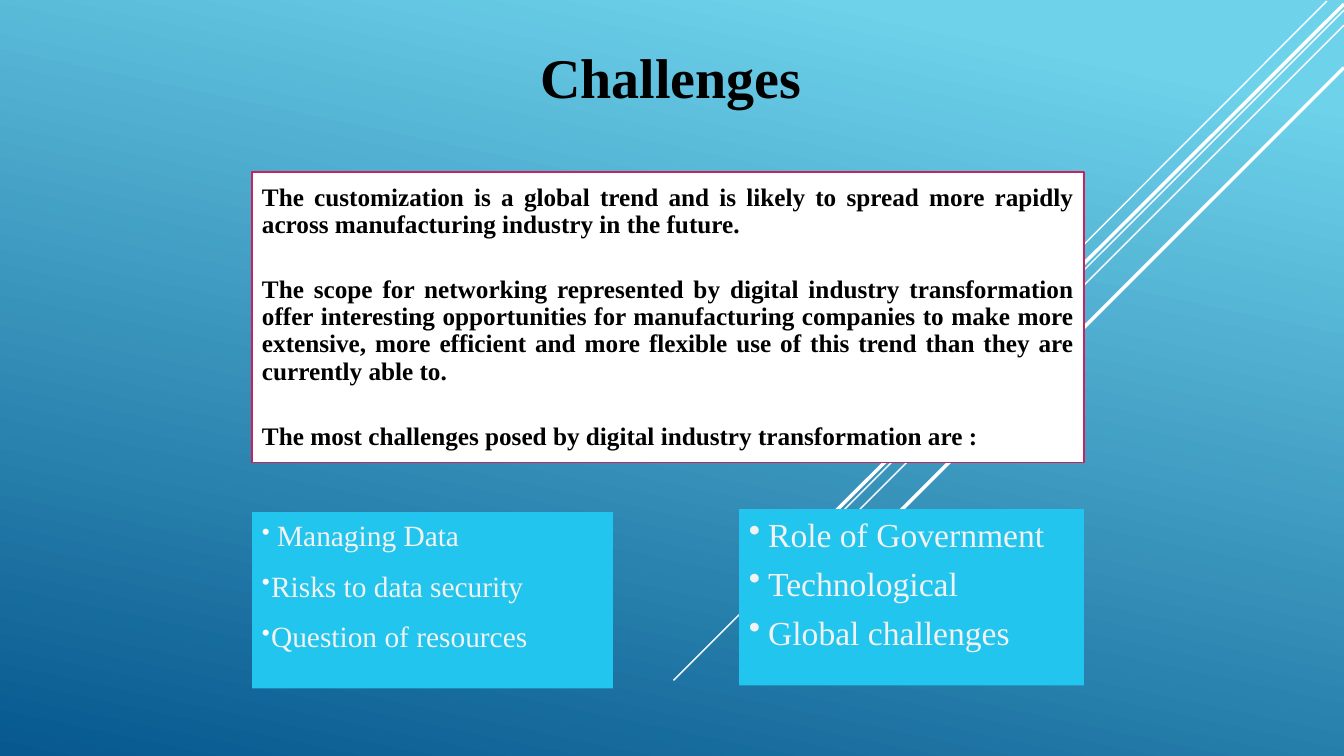
import pptx
import pptx.util
import pptx.dml.color
import pptx.enum.shapes
import pptx.enum.text
import pptx.oxml.ns
from lxml import etree
from pptx.util import Inches

FONT = "Times New Roman"
WHITE, BLACK, PALE = "FFFFFF", "000000", "F2F2F2"
CYAN, CRIMSON = "22C5ED", "C6235F"

# Start and end of each diagonal line, then its width in points
DIAGONALS = [
    ((13.16, 0.01), (9, 4.18), 1),
    ((13.33, 0.1), (6.68, 6.75), 1),
    ((13.33, 0.25), (7.91, 5.67), 1),
    ((13.33, 0.04), (8.02, 5.34), 2.5),
    ((13.33, 0.67), (8.58, 5.42), 2.5),
]
STATEMENTS = [
    "The customization is a global trend and is likely to spread more rapidly "
    "across manufacturing industry in the future.",
    "The scope for networking represented by digital industry transformation "
    "offer interesting opportunities for manufacturing companies to make more "
    "extensive, more efficient and more flexible use of this trend than they "
    "are currently able to.",
    "The most challenges posed by digital industry transformation are :",
]
# Each challenge with the indent of its text in inches
DATA_CHALLENGES = [("Managing Data", 0.15), ("Risks to data security", 0.09),
                   ("Question of resources", 0.09)]
WIDER_CHALLENGES = [("Role of Government", 0.19), ("Technological", 0.19),
                    ("Global challenges", 0.19)]


def colour(value):
    return pptx.dml.color.RGBColor.from_string(value)


def add_element(parent, tag, **attributes):
    return etree.SubElement(parent, pptx.oxml.ns.qn(tag), attributes)


def paint_background(page):
    fill = page.background.fill
    fill.gradient()
    fill.gradient_angle = 258
    for stop, (position, value) in zip(fill.gradient_stops,
                                       [(0.1, "6ED2EB"), (1, "06588E")]):
        stop.position = position
        stop.color.rgb = colour(value)


def add_diagonal(page, start, end, width):
    line = page.shapes.add_connector(
        pptx.enum.shapes.MSO_CONNECTOR.STRAIGHT,
        *(Inches(value) for value in start + end))
    line.line.color.rgb = colour(WHITE)
    line.line.width = pptx.util.Pt(width)
    add_element(line._element.spPr, "a:effectLst")


def add_panel(page, place, fill, border=None):
    panel = page.shapes.add_shape(pptx.enum.shapes.MSO_SHAPE.RECTANGLE,
                                  *(Inches(value) for value in place))
    panel.shadow.inherit = False
    panel.fill.solid()
    panel.fill.fore_color.rgb = colour(fill)
    if border:
        panel.line.color.rgb = colour(border)
        panel.line.width = pptx.util.Pt(1.25)
    else:
        panel.line.fill.background()
    panel.text_frame.word_wrap = True
    panel.text_frame.vertical_anchor = pptx.enum.text.MSO_ANCHOR.TOP
    return panel


def add_para(frame, text, size, value, bold=False, before=0, after=0):
    """Fill the first paragraph of the frame, or add one below the others."""
    first = not frame.paragraphs[0].runs
    para = frame.paragraphs[0] if first else frame.add_paragraph()
    para.alignment = pptx.enum.text.PP_ALIGN.LEFT
    para.space_before = pptx.util.Pt(0 if first else before)
    para.space_after = pptx.util.Pt(after)
    span = para.add_run()
    span.text = text
    span.font.name = FONT
    span.font.size = pptx.util.Pt(size)
    span.font.bold = bold
    span.font.color.rgb = colour(value)
    return para


def add_bullet(para, indent, percent):
    properties = para._p.get_or_add_pPr()
    properties.set("marL", str(Inches(indent)))
    properties.set("indent", str(-Inches(indent)))
    bullet_colour = add_element(properties, "a:buClr")
    add_element(bullet_colour, "a:srgbClr", val=WHITE if percent < 100 else PALE)
    add_element(properties, "a:buSzPct", val=str(percent * 1000))
    add_element(properties, "a:buChar", char="•")


def add_challenges(page, place, items, size, before, after, percent):
    panel = add_panel(page, place, CYAN)
    for text, indent in items:
        para = add_para(panel.text_frame, text, size, PALE,
                        before=before, after=after)
        add_bullet(para, indent, percent)


def add_title(page, text):
    box = page.shapes.add_textbox(Inches(5.26), Inches(0.37),
                                  Inches(4.15), Inches(0.77))
    box.text_frame.word_wrap = True
    add_para(box.text_frame, text, 40, BLACK, bold=True)


def add_statements(page):
    panel = add_panel(page, (2.5, 1.71, 8.25, 2.88), WHITE, CRIMSON)
    panel.text_frame.vertical_anchor = pptx.enum.text.MSO_ANCHOR.MIDDLE
    for text in STATEMENTS:
        para = add_para(panel.text_frame, text, 18, BLACK, bold=True, before=27)
        para.alignment = pptx.enum.text.PP_ALIGN.JUSTIFY
        para.line_spacing = 0.9


def main():
    deck = pptx.Presentation()
    deck.slide_width, deck.slide_height = Inches(13.33), Inches(7.5)
    page = deck.slides.add_slide(deck.slide_layouts[6])

    # Backdrop
    paint_background(page)
    for start, end, width in DIAGONALS:
        add_diagonal(page, start, end, width)

    # Two lists of challenges
    add_challenges(page, (2.5, 5.08, 3.58, 1.75), DATA_CHALLENGES,
                   size=21, before=5, after=6, percent=80)
    add_challenges(page, (7.33, 5.05, 3.42, 1.75), WIDER_CHALLENGES,
                   size=24, before=6, after=0, percent=100)

    # Title and statements
    add_title(page, "Challenges")
    add_statements(page)

    deck.save("out.pptx")


if __name__ == "__main__":
    main()
